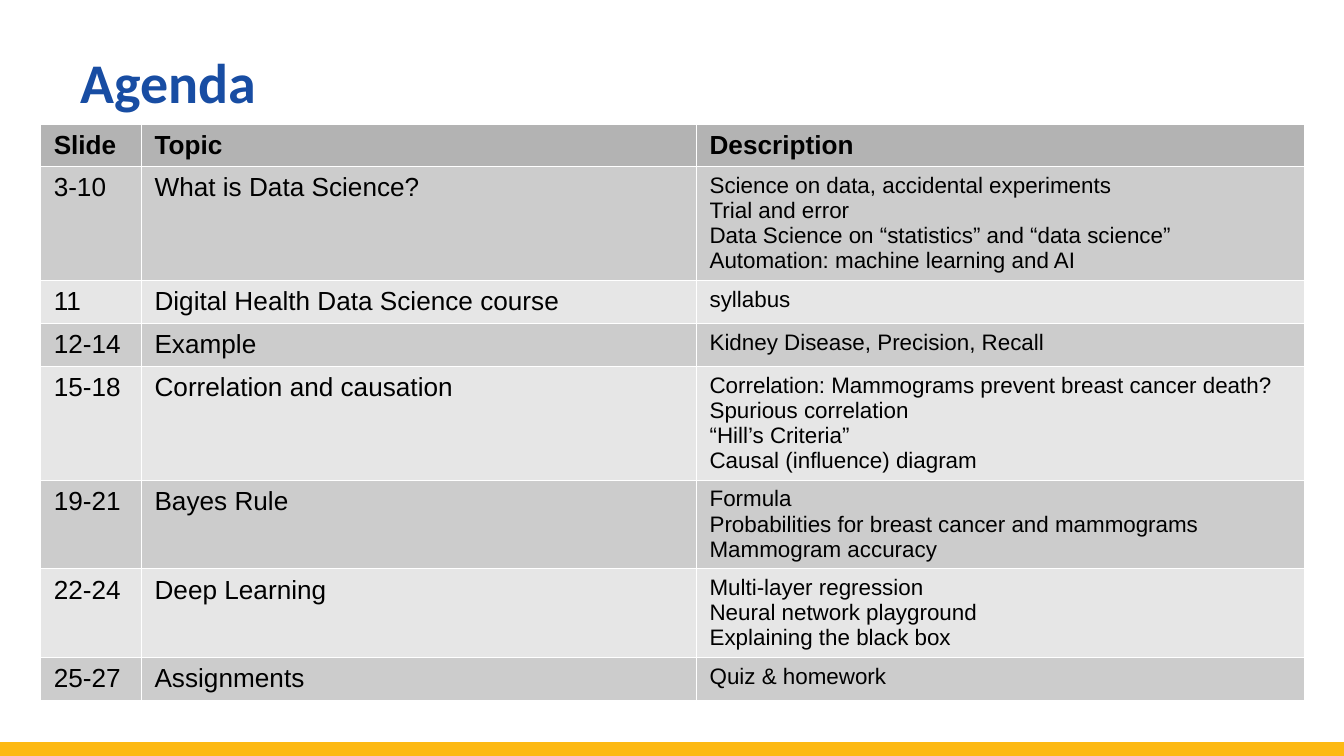
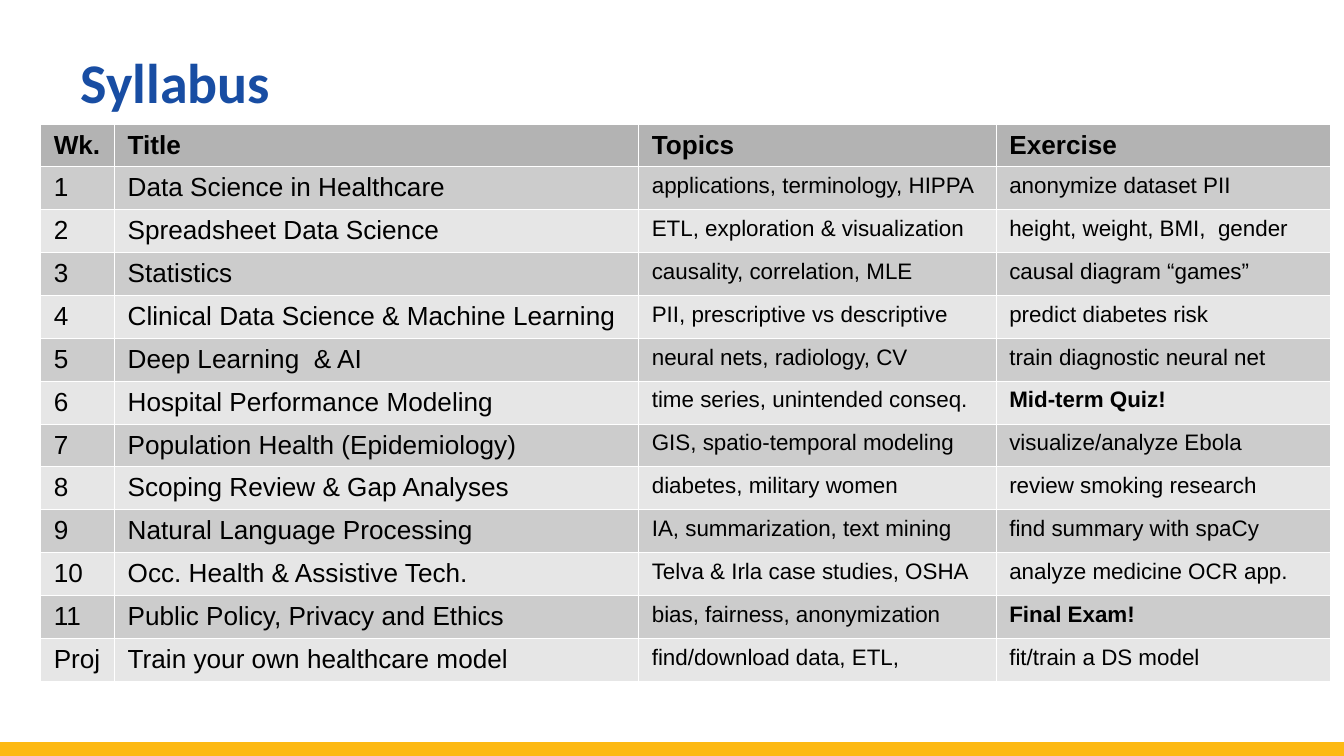
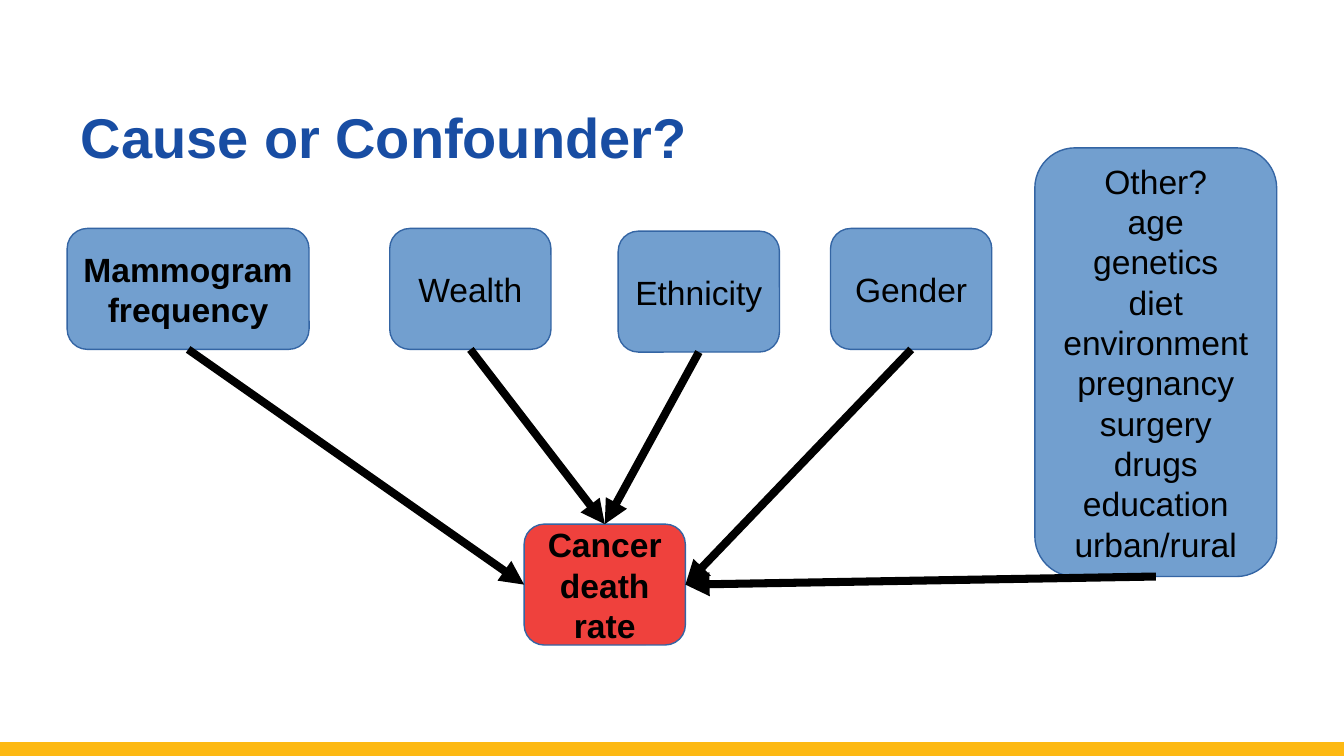
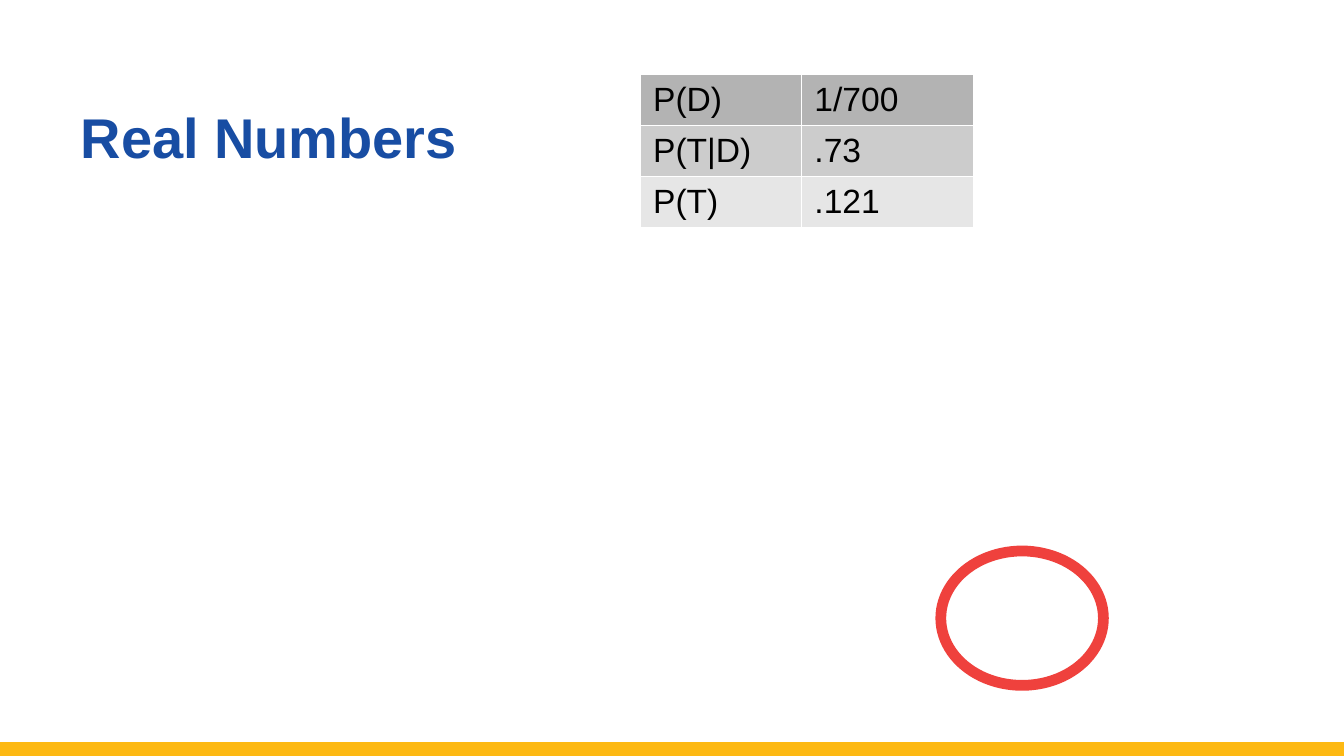
from lxml.etree import SubElement
from pptx import Presentation
from pptx.dml.color import RGBColor
from pptx.enum.shapes import MSO_CONNECTOR, MSO_SHAPE
from pptx.enum.text import MSO_ANCHOR, MSO_AUTO_SIZE, PP_ALIGN
from pptx.oxml import parse_xml
from pptx.oxml.ns import nsdecls, qn
from pptx.util import Inches, Pt

BLUE = RGBColor(0x18, 0x4D, 0xA3)
GOLD = RGBColor(0xFD, 0xB9, 0x13)
BLACK = RGBColor(0x00, 0x00, 0x00)
RED = RGBColor(0xEF, 0x41, 0x3D)
BOX_FILL = RGBColor(0x72, 0x9F, 0xCF)
BOX_LINE = RGBColor(0x34, 0x65, 0xA4)
HEADER_GRAY = RGBColor(0xB3, 0xB3, 0xB3)
DARK_GRAY = RGBColor(0xCC, 0xCC, 0xCC)
LIGHT_GRAY = RGBColor(0xE6, 0xE6, 0xE6)
TOP, LEFT, BOTTOM, RIGHT = range(4)


def format_text(text_frame, size, bold=False, color=BLACK, name="Arial", **paragraph_format):
    """Apply one font and paragraph format to every paragraph."""
    font_format = {"size": Pt(size), "bold": bold, "name": name}
    for paragraph in text_frame.paragraphs:
        for attribute, value in paragraph_format.items():
            setattr(paragraph, attribute, value)
        for run in paragraph.runs:
            for attribute, value in font_format.items():
                setattr(run.font, attribute, value)
            run.font.color.rgb = color


def add_gray_table(slide, left, top, widths, heights, rows, sizes, bold_texts=()):
    """Add a table with a header band, gray stripes and hairline white borders."""
    table = slide.shapes.add_table(
        len(rows), len(widths), Inches(left), Inches(top),
        Inches(sum(widths)), Inches(sum(heights))).table
    for column, width in zip(table.columns, widths):
        column.width = Inches(width)
    for row_index, (row, height) in enumerate(zip(rows, heights)):
        table.rows[row_index].height = Inches(height)
        stripe = DARK_GRAY if row_index % 2 else LIGHT_GRAY
        for column_index, text in enumerate(row):
            cell = table.cell(row_index, column_index)
            cell.text = text
            cell.fill.solid()
            cell.fill.fore_color.rgb = stripe if row_index else HEADER_GRAY
            size = sizes[column_index] if row_index else sizes[0]
            format_text(cell.text_frame, size, bold=text in bold_texts)
            for position, side in enumerate(("lnL", "lnR", "lnT", "lnB")):
                border = parse_xml(
                    f'<a:{side} {nsdecls("a")} w="762"><a:solidFill>'
                    f'<a:srgbClr val="FFFFFF"/></a:solidFill></a:{side}>')
                cell._tc.tcPr.insert(position, border)


# Widescreen page, 16 to 9
presentation = Presentation()
presentation.slide_width = Inches(10)
presentation.slide_height = Inches(10 * 9 / 16)
layout = presentation.slide_layouts[5]

# Slides and titles
titles = [
    ("Agenda", "Calibri", MSO_ANCHOR.TOP),
    ("Syllabus", "Calibri", MSO_ANCHOR.TOP),
    ("Cause or Confounder?", "Arial", MSO_ANCHOR.BOTTOM),
    ("Real Numbers", "Arial", MSO_ANCHOR.BOTTOM),
]
slides = []
for text, font_name, anchor in titles:
    slide = presentation.slides.add_slide(layout)
    title = slide.shapes.title
    title_place = {"left": 0.5, "top": 0, "width": 9, "height": 1.31}
    for attribute, value in title_place.items():
        setattr(title, attribute, Inches(value))
    title.text_frame.text = text
    title.text_frame.auto_size = MSO_AUTO_SIZE.NONE
    title.text_frame.vertical_anchor = anchor
    format_text(title.text_frame, 30, bold=True, color=BLUE, name=font_name,
                alignment=PP_ALIGN.LEFT, line_spacing=Pt(58))
    slides.append(slide)
agenda, syllabus, confounders, numbers = slides

# Gold footer band, moved to the layout so that all slides share it
band = agenda.shapes.add_connector(
    MSO_CONNECTOR.STRAIGHT, 0, Inches(5.58), Inches(10), Inches(5.58))
band.line.color.rgb = GOLD
band.line.width = Pt(8)
SubElement(band._element.spPr, qn("a:effectLst"))
layout.shapes._spTree.append(band._element)

# Agenda
agenda_rows = [
    ("Slide", "Topic", "Description"),
    ("3-10", "What is Data Science?",
     "Science on data, accidental experiments\nTrial and error\n"
     "Data Science on “statistics” and “data science”\n"
     "Automation: machine learning and AI"),
    ("11", "Digital Health Data Science course", "syllabus"),
    ("12-14", "Example", "Kidney Disease, Precision, Recall"),
    ("15-18", "Correlation and causation",
     "Correlation: Mammograms prevent breast cancer death?\nSpurious correlation\n"
     "“Hill’s Criteria”\nCausal (influence) diagram"),
    ("19-21", "Bayes Rule",
     "Formula\nProbabilities for breast cancer and mammograms\nMammogram accuracy"),
    ("22-24", "Deep Learning",
     "Multi-layer regression\nNeural network playground\nExplaining the black box"),
    ("25-27", "Assignments", "Quiz & homework"),
]
add_gray_table(agenda, 0.3, 0.92, [0.75, 4.13, 4.52],
               [0.3, 0.77, 0.3, 0.3, 0.77, 0.6, 0.6, 0.3],
               agenda_rows, [14, 14, 12], bold_texts=agenda_rows[0])

# Syllabus
syllabus_rows = [
    ("Wk.", "Title", "Topics", "Exercise"),
    ("1", "Data Science in Healthcare", "applications, terminology, HIPPA",
     "anonymize dataset PII"),
    ("2", "Spreadsheet Data Science", "ETL, exploration & visualization",
     "height, weight, BMI,  gender"),
    ("3", "Statistics", "causality, correlation, MLE", "causal diagram “games”"),
    ("4", "Clinical Data Science & Machine Learning", "PII, prescriptive vs descriptive",
     "predict diabetes risk"),
    ("5", "Deep Learning  & AI", "neural nets, radiology, CV",
     "train diagnostic neural net"),
    ("6", "Hospital Performance Modeling", "time series, unintended conseq.",
     "Mid-term Quiz!"),
    ("7", "Population Health (Epidemiology)", "GIS, spatio-temporal modeling",
     "visualize/analyze Ebola"),
    ("8", "Scoping Review & Gap Analyses", "diabetes, military women",
     "review smoking research"),
    ("9", "Natural Language Processing", "IA, summarization, text mining",
     "find summary with spaCy"),
    ("10", "Occ. Health & Assistive Tech.", "Telva & Irla case studies, OSHA",
     "analyze medicine OCR app."),
    ("11", "Public Policy, Privacy and Ethics", "bias, fairness, anonymization",
     "Final Exam!"),
    ("Proj", "Train your own healthcare model", "find/download data, ETL,",
     "fit/train a DS model"),
]
add_gray_table(syllabus, 0.3, 0.92, [0.55, 3.9, 2.66, 2.49],
               [0.3] * len(syllabus_rows), syllabus_rows, [14, 14, 12, 12],
               bold_texts=syllabus_rows[0] + ("Mid-term Quiz!", "Final Exam!"))

# Causal diagram: the outcome comes first, then each factor with the side its arrow meets
boxes = [
    ("Cancer\ndeath\nrate", 3.9, 3.9, 1.2, 0.9, True, None),
    ("Mammogram\nfrequency", 0.5, 1.7, 1.8, 0.9, True, LEFT),
    ("Wealth", 2.9, 1.7, 1.2, 0.9, False, TOP),
    ("Ethnicity", 4.6, 1.72, 1.2, 0.9, False, TOP),
    ("Other?\nage\ngenetics\ndiet\nenvironment\npregnancy\nsurgery\ndrugs\n"
     "education\nurban/rural", 7.7, 1.1, 1.8, 3.19, False, RIGHT),
    ("Gender", 6.18, 1.7, 1.2, 0.9, False, RIGHT),
]
outcome = None
for text, left, top, width, height, bold, side in boxes:
    box = confounders.shapes.add_shape(
        MSO_SHAPE.ROUNDED_RECTANGLE, Inches(left), Inches(top), Inches(width), Inches(height))
    box.shadow.inherit = False
    box.fill.solid()
    box.fill.fore_color.rgb = BOX_FILL if outcome else RED
    box.line.color.rgb = BOX_LINE
    box.line.width = Pt(0.75)
    box.text_frame.text = text
    box.text_frame.word_wrap = False
    box.text_frame.vertical_anchor = MSO_ANCHOR.MIDDLE
    format_text(box.text_frame, 18, bold=bold, alignment=PP_ALIGN.CENTER)
    if outcome is None:
        outcome = box
        continue
    arrow = confounders.shapes.add_connector(MSO_CONNECTOR.STRAIGHT, 0, 0, 0, 0)
    arrow.begin_connect(box, BOTTOM)
    arrow.end_connect(outcome, side)
    arrow.line.color.rgb = BLACK
    arrow.line.width = Pt(4.31)
    SubElement(arrow.line._get_or_add_ln(), qn("a:tailEnd"), type="triangle")
    SubElement(arrow._element.spPr, qn("a:effectLst"))

# Probabilities and the ring
probability_rows = [("P(D)", "1/700"), ("P(T|D)", ".73"), ("P(T)", ".121")]
add_gray_table(numbers, 4.76, 0.55, [1.2, 1.28], [0.35, 0.36, 0.35],
               probability_rows, [18, 18])
ring = numbers.shapes.add_shape(
    MSO_SHAPE.OVAL, Inches(7), Inches(4.1), Inches(1.21), Inches(1))
ring.shadow.inherit = False
ring.fill.background()
ring.line.color.rgb = RED
ring.line.width = Pt(5.75)

presentation.save("out.pptx")
